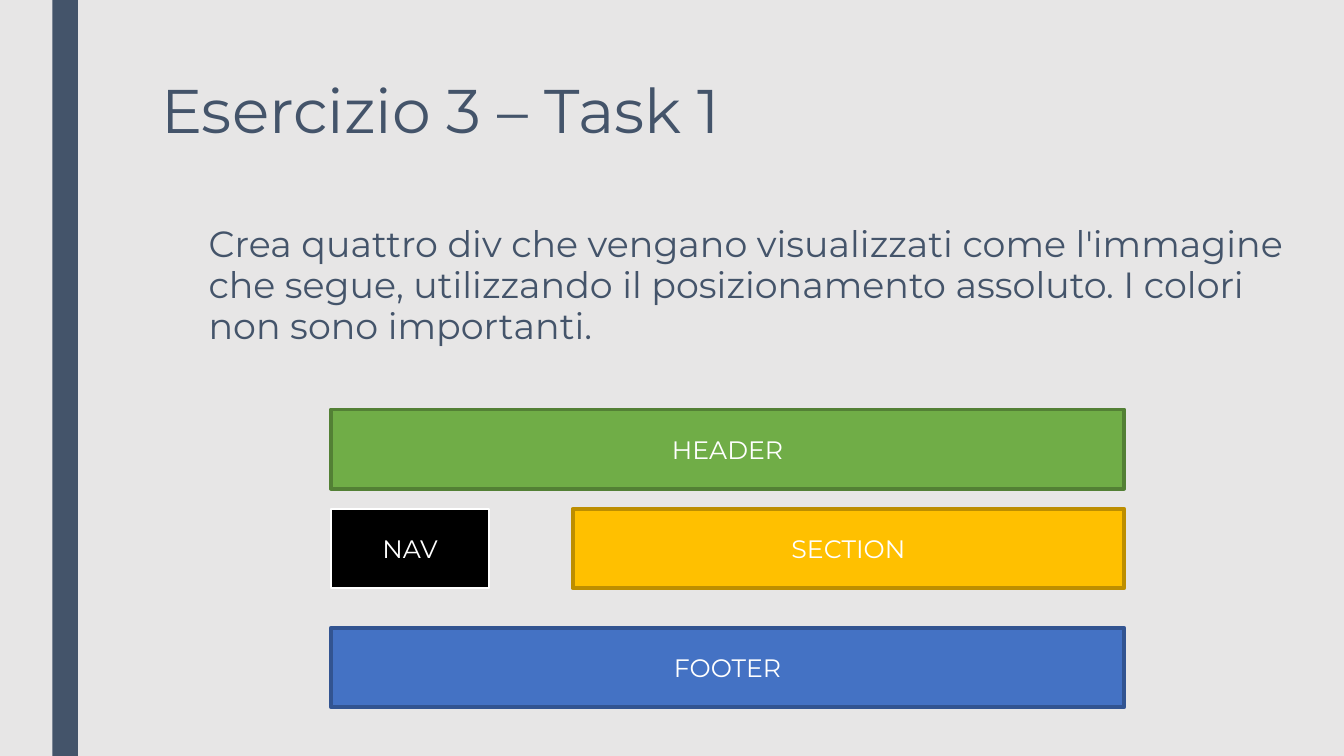
from pptx import Presentation
from pptx import util as u
from pptx.dml.color import RGBColor
from pptx.enum import shapes, text
from lxml import etree

Pt = u.Pt
SLATE = "44546A"


def tint(code):
    return RGBColor.from_string(code)


def write(par, words, size, code):
    run = par.add_run()
    run.text = words
    run.font.name = "Montserrat"
    run.font.size = Pt(size)
    run.font.color.rgb = tint(code)


deck = Presentation()
deck.slide_width, deck.slide_height = Pt(960), Pt(540)
slide = deck.slides.add_slide(deck.slide_layouts[1])
slide.background.fill.solid()
slide.background.fill.fore_color.rgb = tint("E7E6E6")

# Side bar
bar = slide.shapes.add_shape(
    shapes.MSO_SHAPE.RECTANGLE, Pt(37.5), 0, Pt(18.2), Pt(540))
bar.shadow.inherit = False
bar.fill.solid()
bar.fill.fore_color.rgb = tint(SLATE)
bar.line.fill.background()

# Title and task
task = ("Crea quattro div che vengano visualizzati come l'immagine che segue, "
        "utilizzando il posizionamento assoluto. I colori non sono importanti.")
title, body = slide.placeholders
for hold, box, words, size, gap in (
    (title, (108, 54, 851, 117), "Esercizio 3 – Task 1", 44, 0.89),
    (body, (141.8, 157, 798, 382), task, 26, 0.94),
):
    hold.left, hold.top, hold.width, hold.height = map(Pt, box)
    frame = hold.text_frame
    frame.word_wrap = True
    frame.auto_size = text.MSO_AUTO_SIZE.NONE
    frame.vertical_anchor = text.MSO_ANCHOR.TOP
    par = frame.paragraphs[0]
    par.alignment = text.PP_ALIGN.LEFT
    par.line_spacing = gap
    par.space_before = Pt(0)
    write(par, words, size, SLATE)

# No bullet or hanging indent on the task
props = body.text_frame.paragraphs[0]._p.get_or_add_pPr()
props.set("marL", "0")
props.set("indent", "0")
etree.SubElement(
    props, "{http://schemas.openxmlformats.org/drawingml/2006/main}buNone")

# Page layout sketch: name, left, top, width, fill, edge, edge weight
left, right, high = 236.4, 803, 56.6
for name, x, y, wide, fill, edge, thick in (
    ("HEADER", left, 292.5, right - left, "70AD47", "538035", 2.75),
    ("NAV", left, 363.5, 113, "000000", "FFFFFF", 1.5),
    ("FOOTER", left, 448.5, right - left, "4472C4", "325491", 2.75),
    ("SECTION", 409, 363.5, right - 409, "FFC000", "BD8E00", 2.75),
):
    div = slide.shapes.add_shape(
        shapes.MSO_SHAPE.RECTANGLE, Pt(x), Pt(y), Pt(wide), Pt(high))
    div.shadow.inherit = False
    div.fill.solid()
    div.fill.fore_color.rgb = tint(fill)
    div.line.color.rgb = tint(edge)
    div.line.width = Pt(thick)
    div.text_frame.vertical_anchor = text.MSO_ANCHOR.MIDDLE
    par = div.text_frame.paragraphs[0]
    par.alignment = text.PP_ALIGN.CENTER
    write(par, name, 18, "FFFFFF")

deck.save("out.pptx")
